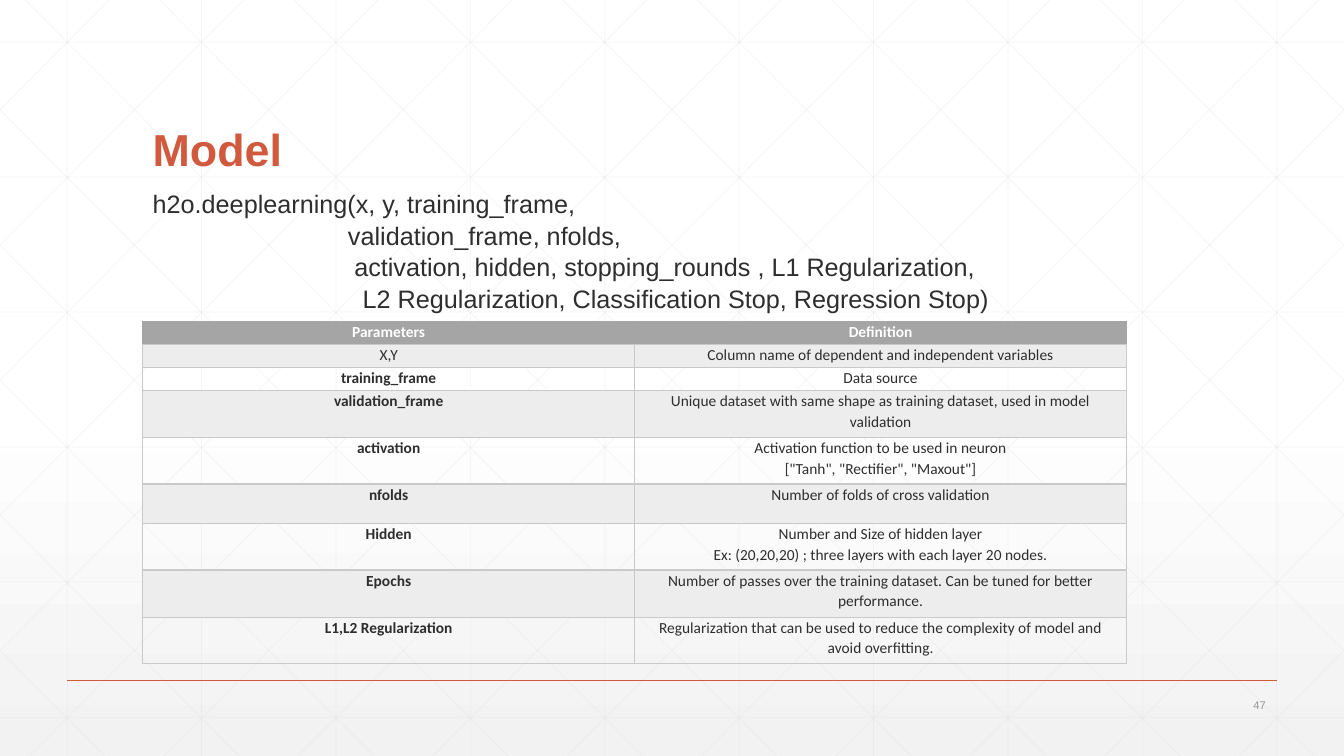
from lxml.etree import SubElement
from pptx import Presentation
from pptx.dml.color import RGBColor
from pptx.enum.shapes import MSO_CONNECTOR as CONN
from pptx.enum.text import MSO_ANCHOR as ANCHOR, PP_ALIGN as ALIGN
from pptx.oxml.ns import qn
from pptx.util import Pt

PX = 9525
W, H = 1280, 720
WHITE = RGBColor(0xFF, 0xFF, 0xFF)
MIST = RGBColor(0xF2, 0xF2, 0xF2)
LATTICE = RGBColor(0xD9, 0xD9, 0xD9)
RUST = RGBColor(0xD1, 0x5A, 0x3E)
INK = RGBColor(0x2D, 0x2E, 0x2D)
MUTED = RGBColor(0x95, 0x97, 0x95)
HEADER = RGBColor(0xA5, 0xA5, 0xA5)
BAND = RGBColor(0xED, 0xED, 0xED)
BORDER = RGBColor(0xC9, 0xC9, 0xC9)

CALL = [
    (0, "h2o.deeplearning(x, y, training_frame,"),
    (186, "validation_frame, nfolds,"),
    (192, "activation, hidden, stopping_rounds , L1 Regularization,"),
    (200, "L2 Regularization, Classification Stop, Regression Stop)"),
]
PARAMETERS = [
    (22, "Parameters", "Definition"),
    (22, "X,Y", "Column name of dependent and independent variables"),
    (22, "training_frame", "Data source"),
    (45, "validation_frame", "Unique dataset with same shape as training dataset, used in model validation"),
    (44, "activation", 'Activation function to be used in neuron\n["Tanh", "Rectifier", "Maxout"]'),
    (38, "nfolds", "Number of folds of cross validation"),
    (44, "Hidden", "Number and Size of hidden layer\nEx: (20,20,20) ; three layers with each layer 20 nodes."),
    (45, "Epochs", "Number of passes over the training dataset. Can be tuned for better performance."),
    (44, "L1,L2 Regularization",
     "Regularization that can be used to reduce the complexity of model and avoid overfitting."),
]


def px(*lengths):
    return [round(v * PX) for v in lengths]


def style(p, size, color, bold=False, font="Arial"):
    for r in p.runs:
        r.font.name, r.font.size, r.font.bold = font, Pt(size), bold
        r.font.color.rgb = color


def add_line(s, x1, y1, x2, y2, color, width, opacity=100):
    line = s.shapes.add_connector(CONN.STRAIGHT, *px(x1, y1, x2, y2))
    line.line.color.rgb = color
    line.line.width = Pt(width)
    SubElement(line._element.spPr, qn("a:effectLst"))
    if opacity < 100:
        rgb = next(line._element.iter(qn("a:srgbClr")))
        SubElement(rgb, qn("a:alpha")).set("val", str(opacity * 1000))


def add_text(s, box, text, size, color, bold=False, anchor=ANCHOR.TOP, align=ALIGN.LEFT, spacing=1.0):
    tf = s.shapes.add_textbox(*px(*box)).text_frame
    tf.word_wrap = True
    tf.vertical_anchor = anchor
    tf.text = text
    for p in tf.paragraphs:
        p.alignment = align
        p.line_spacing = spacing
        style(p, size, color, bold)
    return tf


def add_background(s):
    fill = s.background.fill
    fill.gradient()
    fill.gradient_angle = 270
    for stop, position, color in zip(fill.gradient_stops, (0.53, 1), (WHITE, MIST)):
        stop.position = position
        stop.color.rgb = color


def add_lattice(s, box):
    left, top, w, h = box
    step, run = 128, 716
    segments = [(x, 0, x, h) for x in range(64, w, step)]
    segments += [(0, 40 + 128.6 * k, w, 40 + 128.6 * k) for k in range(6)]
    for x in range(24 - 5 * step, w, step):
        x1, x2 = max(x, 0), min(x + run, w)
        y1, y2 = ((v - x) * h / run for v in (x1, x2))
        segments += [(x1, y1, x2, y2), (w - x1, y1, w - x2, y2)]
    for x1, y1, x2, y2 in segments:
        add_line(s, left + x1, top + y1, left + x2, top + y2, LATTICE, 0.5, 25)


def add_call(s, box):
    tf = add_text(s, box, "\n".join(text for _, text in CALL), 18, INK, spacing=1.05)
    for p, (indent, _) in zip(tf.paragraphs, CALL):
        p._p.get_or_add_pPr().set("marL", str(indent * PX))


def add_borders(cell, color):
    tcPr = cell._tc.get_or_add_tcPr()
    for side in ("lnL", "lnR", "lnT", "lnB"):
        ln = SubElement(tcPr, qn(f"a:{side}"), w=str(Pt(1)))
        SubElement(SubElement(ln, qn("a:solidFill")), qn("a:srgbClr"), val=str(color))


def add_parameters(s, box):
    table = s.shapes.add_table(len(PARAMETERS), 2, *px(*box)).table
    table.first_row = table.horz_banding = False
    for column in table.columns:
        column.width = px(box[2] / 2)[0]
    for i, (height, *texts) in enumerate(PARAMETERS):
        table.rows[i].height = px(height)[0]
        for j, text in enumerate(texts):
            cell = table.cell(i, j)
            cell.margin_left, cell.margin_right = px(7, 7)
            cell.margin_top = cell.margin_bottom = 0
            add_borders(cell, BORDER if i else HEADER)
            if i == 0 or i % 2:
                cell.fill.solid()
                cell.fill.fore_color.rgb = BAND if i else HEADER
            else:
                cell.fill.background()
            cell.text_frame.text = text
            bold = i == 0 or (j == 0 and i > 1)
            for p in cell.text_frame.paragraphs:
                p.alignment = ALIGN.CENTER
                p.line_spacing = 1.07
                style(p, 11, INK if i else WHITE, bold, "Calibri")


def add_footer(s, box):
    left, top, w, h = box
    add_line(s, left, top, left + w, top, RUST, 1)
    add_text(s, (left + w - 97, top + 12, 96, h - 12), "47", 8, MUTED,
             anchor=ANCHOR.MIDDLE, align=ALIGN.RIGHT)


def main():
    prs = Presentation()
    prs.slide_width, prs.slide_height = px(W, H)
    s = prs.slides.add_slide(prs.slide_layouts[6])
    add_background(s)
    add_lattice(s, (0, 0, W, H))
    add_text(s, (136, 53, 1008, 120), "Model", 32, RUST, True, ANCHOR.BOTTOM, spacing=0.9)
    add_parameters(s, (136, 306, 937, 326))
    add_call(s, (136, 173, 870, 156))
    add_footer(s, (64, 648, 1152, 35))
    prs.save("out.pptx")


if __name__ == "__main__":
    main()
